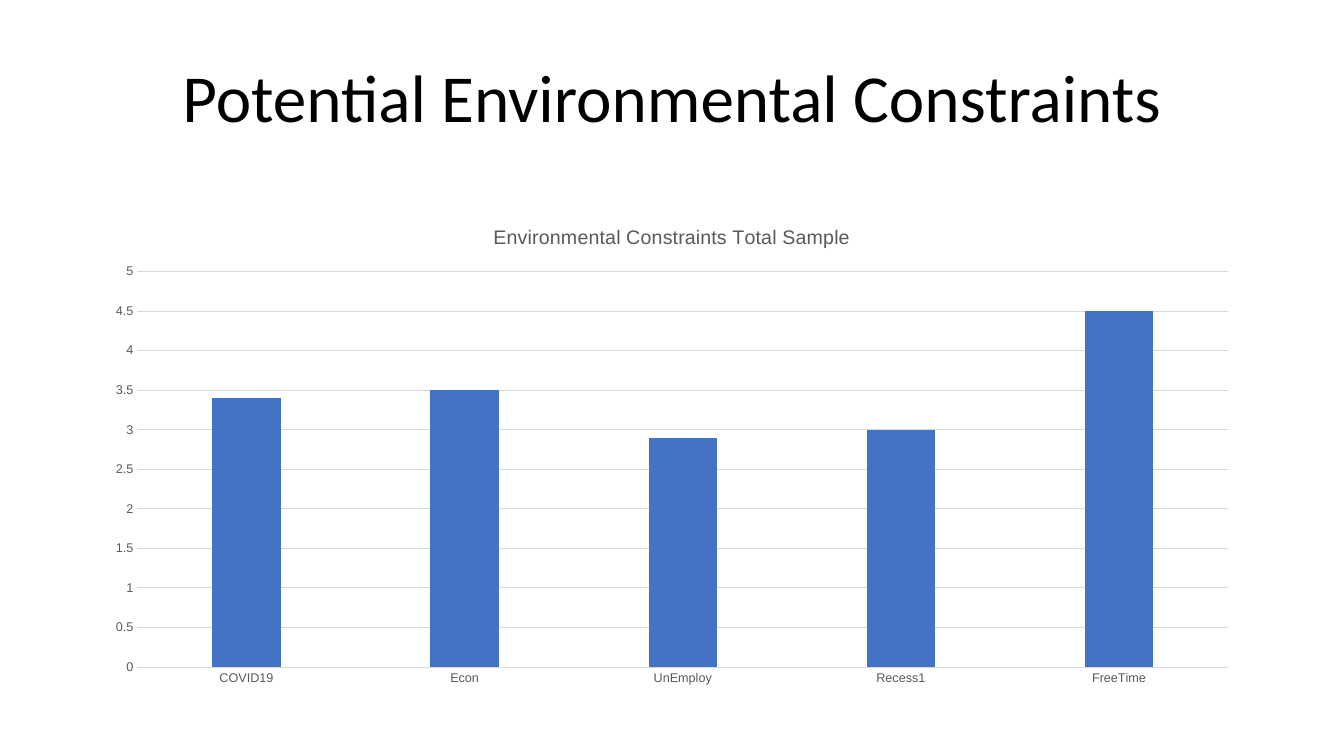
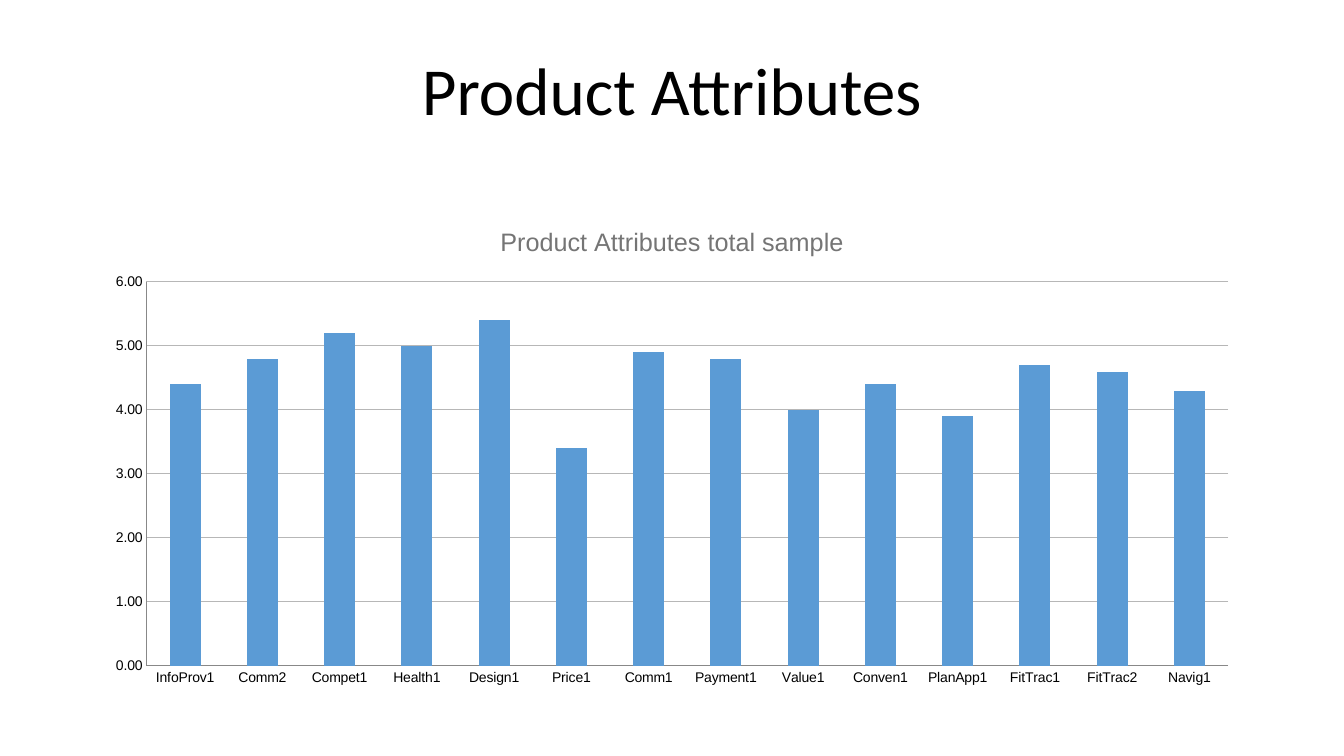
import pptx
import pptx.chart.data
import pptx.dml.color
import pptx.enum.chart
import pptx.enum.text
import pptx.util


def color(value):
    return pptx.dml.color.RGBColor.from_string(value)


def style_font(font, name, size, value):
    font.name = name
    font.size = pptx.util.Pt(size)
    font.bold = False
    font.color.rgb = color(value)


TITLE_FONT = "Calibri"
CHART_FONT = "Arial"
BLACK = "000000"

charts = [
    {
        "title": "Potential Environmental Constraints",
        "title_left": 0.29,
        "title_top": 0.39,
        "chart_title": "Environmental Constraints Total Sample",
        "chart_title_size": 14,
        "chart_title_color": "595959",
        "values": {"COVID19": 3.4, "Econ": 3.5, "UnEmploy": 2.9, "Recess1": 3, "FreeTime": 4.5},
        "bar_color": "4472C4",
        "gap": 219,
        "overlap": -27,
        "label_size": 9,
        "label_color": "595959",
        "grid_color": "D9D9D9",
        "category_line": "D9D9D9",
        "value_line": None,
        "maximum": 5,
        "step": 0.5,
        "number_format": "General",
    },
    {
        "title": "Product Attributes",
        "title_left": 0.92,
        "title_top": 0.32,
        "chart_title": "Product Attributes total sample",
        "chart_title_size": 18,
        "chart_title_color": "757575",
        "values": {
            "InfoProv1": 4.4, "Comm2": 4.8, "Compet1": 5.2, "Health1": 5, "Design1": 5.4,
            "Price1": 3.4, "Comm1": 4.9, "Payment1": 4.8, "Value1": 4, "Conven1": 4.4,
            "PlanApp1": 3.9, "FitTrac1": 4.7, "FitTrac2": 4.6, "Navig1": 4.3,
        },
        "bar_color": "5B9BD5",
        "gap": 150,
        "overlap": 0,
        "label_size": 10,
        "label_color": BLACK,
        "grid_color": "B7B7B7",
        "category_line": "888888",
        "value_line": "888888",
        "maximum": 6,
        "step": 1,
        "number_format": "###0.00",
    },
]

presentation = pptx.Presentation()
presentation.slide_width = pptx.util.Inches(13.33)
presentation.slide_height = pptx.util.Inches(7.5)
width = presentation.slide_width
chart_left = pptx.util.Inches(0.92)
chart_top = pptx.util.Inches(2.04)
chart_width = width - 2 * chart_left
chart_height = pptx.util.Inches(4.86)

for content in charts:
    slide = presentation.slides.add_slide(presentation.slide_layouts[5])

    title = slide.shapes.title
    title.left = pptx.util.Inches(content["title_left"])
    title.top = pptx.util.Inches(content["title_top"])
    title.width = width - 2 * title.left
    title.height = pptx.util.Inches(1.02)
    title.text_frame.text = content["title"]
    title.text_frame.word_wrap = True
    title.text_frame.auto_size = pptx.enum.text.MSO_AUTO_SIZE.NONE
    title.text_frame.vertical_anchor = pptx.enum.text.MSO_ANCHOR.BOTTOM
    paragraph = title.text_frame.paragraphs[0]
    paragraph.alignment = pptx.enum.text.PP_ALIGN.CENTER
    paragraph.line_spacing = 0.9
    style_font(paragraph.runs[0].font, TITLE_FONT, 48, BLACK)

    chart_data = pptx.chart.data.CategoryChartData(number_format=content["number_format"])
    chart_data.categories = list(content["values"])
    chart_data.add_series("Series 1", list(content["values"].values()))
    chart = slide.shapes.add_chart(
        pptx.enum.chart.XL_CHART_TYPE.COLUMN_CLUSTERED,
        chart_left, chart_top, chart_width, chart_height, chart_data,
    ).chart
    style_font(chart.font, CHART_FONT, 10, BLACK)
    chart.has_legend = False
    chart.has_title = True
    chart.chart_title.include_in_layout = False
    chart.chart_title.text_frame.text = content["chart_title"]
    chart_title_run = chart.chart_title.text_frame.paragraphs[0].runs[0]
    style_font(chart_title_run.font, CHART_FONT, content["chart_title_size"], content["chart_title_color"])

    plot = chart.plots[0]
    plot.vary_by_categories = False
    plot.gap_width = content["gap"]
    plot.overlap = content["overlap"]
    bars = plot.series[0]
    bars.invert_if_negative = False
    bars.format.fill.solid()
    bars.format.fill.fore_color.rgb = color(content["bar_color"])

    axis_lines = [
        (chart.category_axis, content["category_line"]),
        (chart.value_axis, content["value_line"]),
    ]
    for axis, line_color in axis_lines:
        axis.major_tick_mark = pptx.enum.chart.XL_TICK_MARK.NONE
        axis.minor_tick_mark = pptx.enum.chart.XL_TICK_MARK.NONE
        style_font(axis.tick_labels.font, CHART_FONT, content["label_size"], content["label_color"])
        if line_color:
            axis.format.line.color.rgb = color(line_color)
            axis.format.line.width = pptx.util.Pt(0.75)
        else:
            axis.format.line.fill.background()

    value_axis = chart.value_axis
    value_axis.minimum_scale = 0
    value_axis.maximum_scale = content["maximum"]
    value_axis.major_unit = content["step"]
    value_axis.tick_labels.number_format = content["number_format"]
    value_axis.tick_labels.number_format_is_linked = False
    value_axis.has_major_gridlines = True
    value_axis.major_gridlines.format.line.color.rgb = color(content["grid_color"])
    value_axis.major_gridlines.format.line.width = pptx.util.Pt(0.75)

presentation.save("out.pptx")
